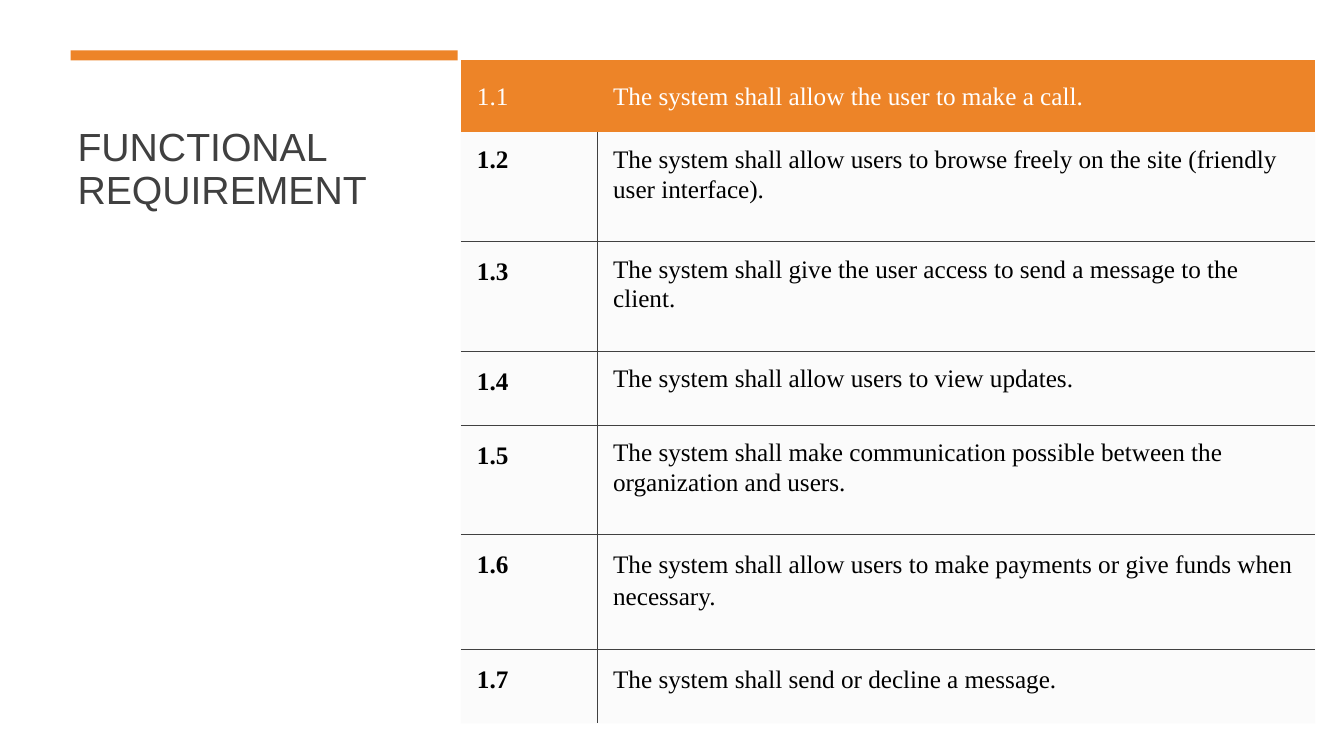
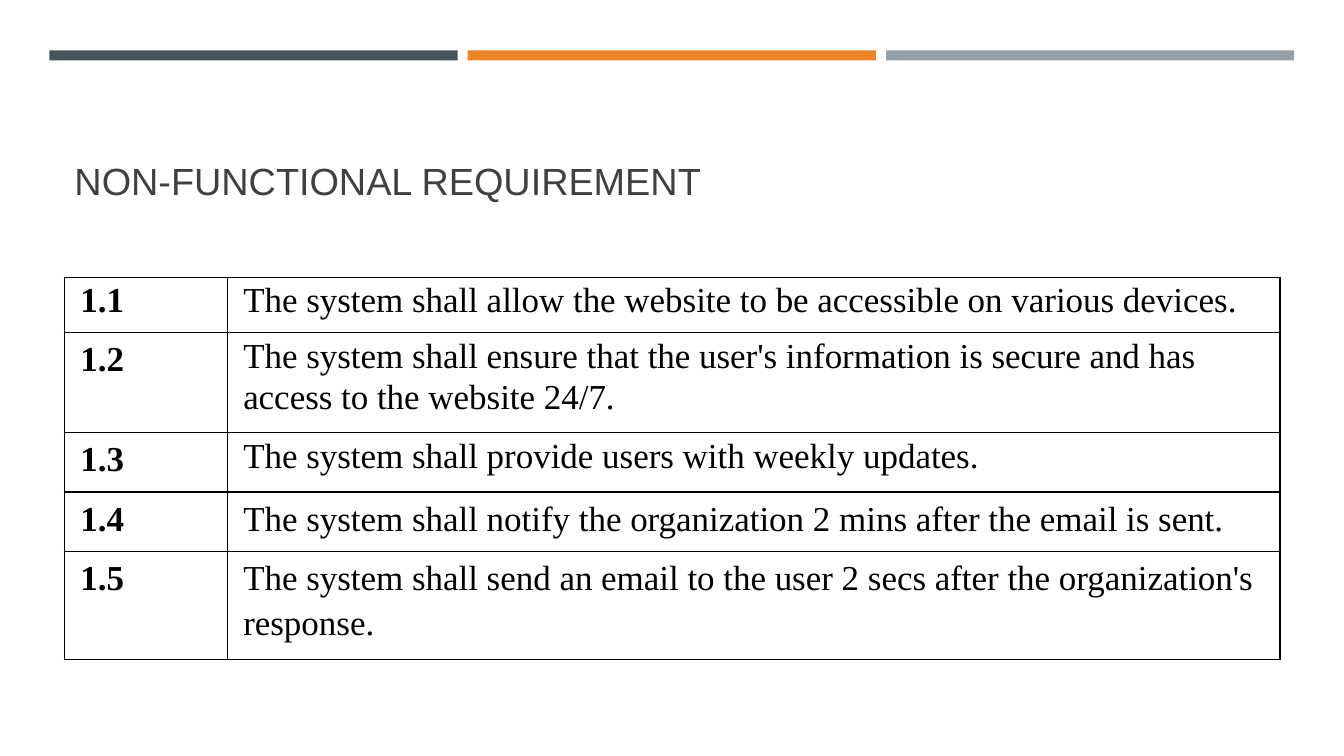
from dataclasses import dataclass

from lxml.etree import SubElement as Sub
from pptx import Presentation
from pptx.dml.color import RGBColor as RGB
from pptx.enum.shapes import MSO_SHAPE as Shape
from pptx.enum.text import MSO_ANCHOR as Anchor, MSO_AUTO_SIZE as Fit, PP_ALIGN as Align
from pptx.oxml import parse_xml
from pptx.oxml.ns import nsdecls, qn
from pptx.util import Pt


@dataclass(frozen=True)
class Theme:
    # Colours
    slate: str = "465359"
    orange: str = "ED8428"
    grey: str = "969FA7"
    ink: str = "404040"
    black: str = "000000"
    white: str = "FFFFFF"
    pale: str = "F2F2F2"
    # Fonts and line spacing
    head: str = "Arial"
    body: str = "Times New Roman"
    tight: float = 1.07
    loose: float = 1.16
    # Bands
    top: float = 36
    thick: float = 7.2
    left: float = 35.3
    wide: float = 291.6
    step: float = 298.8


T = Theme()

NEEDS = [
    "The system shall allow the user to make a call.",
    "The system shall allow users to browse freely on the site (friendly user interface).",
    "The system shall give the user access to send a message to the client.",
    "The system shall allow users to view updates.",
    "The system shall make communication possible between the organization and users.",
    "The system shall allow users to make payments or give funds when necessary.",
    "The system shall send or decline a message.",
]
LIMITS = [
    "The system shall allow the website to be accessible on various devices.",
    "The system shall ensure that the user's information is secure and has access to the website 24/7.",
    "The system shall provide users with weekly updates.",
    "The system shall notify the organization 2 mins after the email is sent.",
    "The system shall send an email to the user 2 secs after the organization's response.",
]


def put(frame, text, *, size, font=T.body, color=T.black, bold=False, space=1.0):
    """Write one formatted paragraph."""
    para = frame.paragraphs[0]
    para.alignment = Align.LEFT
    para.line_spacing = space
    run = para.add_run()
    run.text = text
    face = run.font
    face.name, face.size, face.bold = font, Pt(size), bold
    face.color.rgb = RGB.from_string(color)


def title(slide, text, box, size):
    shape = slide.shapes.title
    shape.left, shape.top, shape.width, shape.height = map(Pt, box)
    frame = shape.text_frame
    frame.word_wrap, frame.auto_size = True, Fit.NONE
    frame.vertical_anchor = Anchor.BOTTOM
    put(frame, text, size=size, font=T.head, color=T.ink, space=0.9)


def band(slide, left, wide, color):
    bar = slide.shapes.add_shape(
        Shape.RECTANGLE, Pt(left), Pt(T.top), Pt(wide), Pt(T.thick))
    bar.shadow.inherit = False
    bar.fill.solid()
    bar.fill.fore_color.rgb = RGB.from_string(color)
    bar.line.fill.background()


def paint(cell, color, alpha=None):
    if color is None:
        cell.fill.background()
        return
    cell.fill.solid()
    cell.fill.fore_color.rgb = RGB.from_string(color)
    if alpha:
        tint = cell._tc.tcPr.find(".//" + qn("a:srgbClr"))
        Sub(tint, qn("a:alpha"), val=str(alpha * 1000))


def edges(cell, shown, color, width):
    """Draw the sides named in shown and clear the others."""
    for spot, side in enumerate("LRTB"):
        ink = (f'<a:solidFill><a:srgbClr val="{color}"/></a:solidFill>'
               if side in shown else "<a:noFill/>")
        line = parse_xml(
            f'<a:ln{side} {nsdecls("a")} w="{Pt(width)}">{ink}</a:ln{side}>')
        cell._tc.tcPr.insert(spot, line)


def inner(row, col, last):
    """Sides between body cells only; the header row has none."""
    if row == 0:
        return ""
    return (("L" if col else "R") + ("T" if row > 1 else "")
            + ("B" if row < last else ""))


def grid(slide, texts, spot, cols, rows, *, size, pads, tight, line, header=False):
    """Numbered table; tight gives, per column, how many rows are tightly spaced."""
    table = slide.shapes.add_table(
        len(rows), len(cols), *map(Pt, (*spot, sum(cols), sum(rows)))).table
    table.first_row = table.horz_banding = False
    for col, wide in zip(table.columns, cols):
        col.width = Pt(wide)
    for r, (tall, text) in enumerate(zip(rows, texts)):
        table.rows[r].height = Pt(tall)
        top = header and r == 0
        for c, words in enumerate((f"1.{r + 1}", text)):
            cell = table.cell(r, c)
            (cell.margin_left, cell.margin_top,
             cell.margin_right, cell.margin_bottom) = map(Pt, pads)
            cell.vertical_anchor = Anchor.MIDDLE if top else Anchor.TOP
            put(cell.text_frame, words, size=size, bold=c == 0 and not top,
                color=T.white if top else T.black,
                space=T.tight if r < tight[c] else T.loose)
            if top:
                paint(cell, T.orange)
            elif header:
                paint(cell, T.pale, 30)
            else:
                paint(cell, None)
            edges(cell, inner(r, c, len(rows) - 1) if header else "LRTB", *line)


def main():
    deck = Presentation()
    deck.slide_width, deck.slide_height = Pt(960), Pt(540)
    plain = deck.slide_layouts[5]

    # Functional requirements
    slide = deck.slides.add_slide(plain)
    title(slide, "FUNCTIONAL REQUIREMENT", (48.2, 55.4, 280.8, 100), 28)
    band(slide, 50.4, 276.5, T.orange)
    grid(slide, NEEDS, (329.2, 43), (97.3, 513),
         (51.4, 78.2, 78.2, 53, 78, 82, 53), size=18,
         pads=(11.5, 8.6, 6.5, 8.6), tight=(2, 5), line=(T.ink, 0.5), header=True)

    # Non-functional requirements
    slide = deck.slides.add_slide(plain)
    for i, color in enumerate((T.slate, T.orange, T.grey)):
        band(slide, T.left + i * T.step, T.wide, color)
    title(slide, "NON-FUNCTIONAL REQUIREMENT", (46, 55.4, 868.3, 93.6), 27)
    grid(slide, LIMITS, (46, 198), (116.3, 752),
         (39.4, 71.6, 42.5, 42.5, 77), size=25,
         pads=(11.5, 1.4, 11.5, 0), tight=(1, 3), line=(T.black, 1))

    deck.save("out.pptx")


if __name__ == "__main__":
    main()
